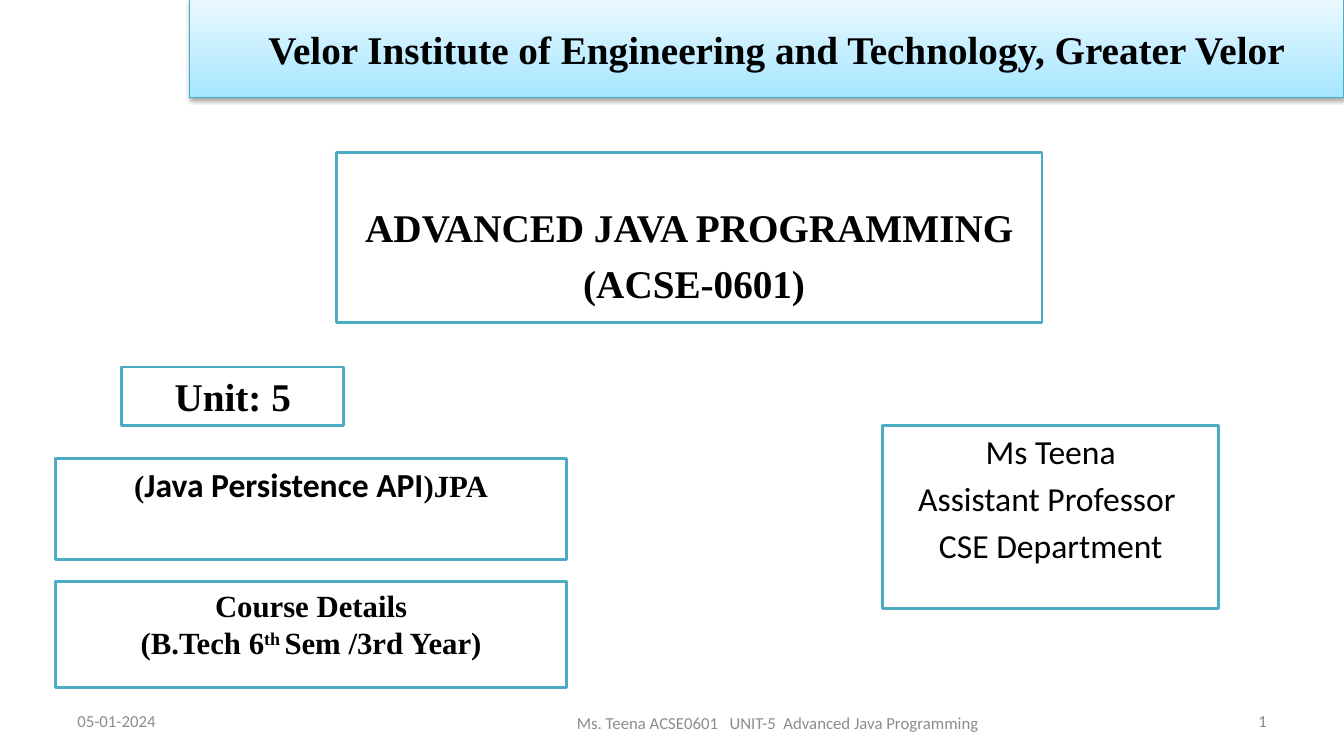
from lxml.etree import SubElement
from pptx import Presentation
from pptx.dml.color import RGBColor
from pptx.enum.shapes import MSO_SHAPE
from pptx.enum.text import MSO_ANCHOR, PP_ALIGN
from pptx.oxml.ns import qn
from pptx.util import Cm, Pt

COLORS = {"text": "000000", "fill": "FFFFFF", "edge": "4BACC6",
          "top": "E9F8FF", "base": "A5E6FF", "date": "8C8C8C", "page": "898989"}
SERIF, SANS = "Times New Roman", "Calibri"

TITLE = "Velor Institute of Engineering and Technology, Greater Velor"

# Place in cm, style (font, size, bold), space before, line spacing, top inset, paragraphs.
# A paragraph is a list of runs: text, then what differs from the style.
BOXES = [
    ((8.48, 3.84, 17.78, 4.29), (SERIF, 28, True), 10, 0.9, 1.41,
     [[("ADVANCED JAVA PROGRAMMING", {})], [(" (ACSE-0601)", {})]]),
    ((3.07, 9.25, 5.59, 1.47), (SERIF, 28, True), 0, 1.0, 0.13,
     [[("Unit: 5", {})]]),
    ((1.4, 11.56, 12.88, 2.54), (SERIF, 22, True), 0, 1.0, 0.13,
     [[("(", {}), ("Java Persistence API", {"font": SANS, "size": 24}), (")JPA", {})]]),
    ((22.25, 10.72, 8.46, 4.62), (SANS, 24, False), 4.8, 1.0, 0.13,
     [[("Ms Teena", {})], [("Assistant Professor ", {})], [("CSE Department", {})]]),
    ((1.4, 14.66, 12.88, 2.67), (SERIF, 22, True), 0, 1.0, 0.13,
     [[("Course Details", {})],
      [("(B.Tech 6", {}), ("th ", {"raised": True}), ("Sem /3rd Year)", {})]]),
]

FOOTER = [
    ((11.91, 17.78, 15.39, 0.89), "Ms. Teena ACSE0601   UNIT-5  Advanced Java Programming",
     PP_ALIGN.CENTER, "date"),
    ((1.7, 17.65, 7.9, 1.02), "05-01-2024", PP_ALIGN.LEFT, "date"),
    ((24.28, 17.65, 7.9, 1.02), "1", PP_ALIGN.RIGHT, "page"),
]


def rgb(name):
    return RGBColor.from_string(COLORS[name])


def style(run, font, size, bold=False, color="text"):
    run.font.name, run.font.size, run.font.bold = font, Pt(size), bold
    run.font.color.rgb = rgb(color)


def add_rect(slide, place, width):
    rect = slide.shapes.add_shape(MSO_SHAPE.RECTANGLE, *map(Cm, place))
    rect.shadow.inherit = False
    rect.line.color.rgb = rgb("edge")
    rect.line.width = Pt(width)
    return rect


def add_line(shape, text, align, *look):
    """Fill a shape with one vertically centred line of text."""
    frame = shape.text_frame
    frame.text = text
    frame.word_wrap = True
    frame.vertical_anchor = MSO_ANCHOR.MIDDLE
    frame.paragraphs[0].alignment = align
    style(frame.paragraphs[0].runs[0], *look)


def add_banner(slide):
    banner = add_rect(slide, (4.78, 0, 29.08, 2.46), 0.75)
    banner.fill.gradient()
    banner.fill.gradient_angle = 270
    for stop, name in zip(banner.fill.gradient_stops, ("top", "base")):
        stop.color.rgb = rgb(name)
    effects = banner.element.spPr.find(qn("a:effectLst"))
    shade = SubElement(effects, qn("a:outerShdw"), blurRad="40000", dist="23000",
                       dir="5400000", rotWithShape="0")
    tint = SubElement(shade, qn("a:srgbClr"), val=COLORS["text"])
    SubElement(tint, qn("a:alpha"), val="35000")
    add_line(banner, TITLE, PP_ALIGN.CENTER, SERIF, 28, True)
    banner.text_frame.margin_left = Cm(0.75)


def add_box(slide, place, look, before, spacing, inset, paras):
    box = add_rect(slide, place, 2)
    box.fill.solid()
    box.fill.fore_color.rgb = rgb("fill")
    frame = box.text_frame
    frame.word_wrap = True
    frame.vertical_anchor = MSO_ANCHOR.TOP
    frame.margin_top = Cm(inset)
    font, size, bold = look
    for i, runs in enumerate(paras):
        para = frame.add_paragraph() if i else frame.paragraphs[0]
        para.alignment = PP_ALIGN.CENTER
        para.line_spacing = spacing
        para.space_before = Pt(before if i else 0)
        for text, diff in runs:
            run = para.add_run()
            run.text = text
            style(run, diff.get("font", font), diff.get("size", size), bold)
            if diff.get("raised"):
                run.font._element.set("baseline", "30000")


def main():
    deck = Presentation()
    deck.slide_width, deck.slide_height = Cm(33.87), Cm(19.05)
    slide = deck.slides.add_slide(deck.slide_layouts[6])
    add_banner(slide)
    for box in BOXES:
        add_box(slide, *box)
    for place, text, align, color in FOOTER:
        note = slide.shapes.add_textbox(*map(Cm, place))
        add_line(note, text, align, SANS, 12, False, color)
    deck.save("out.pptx")


if __name__ == "__main__":
    main()
